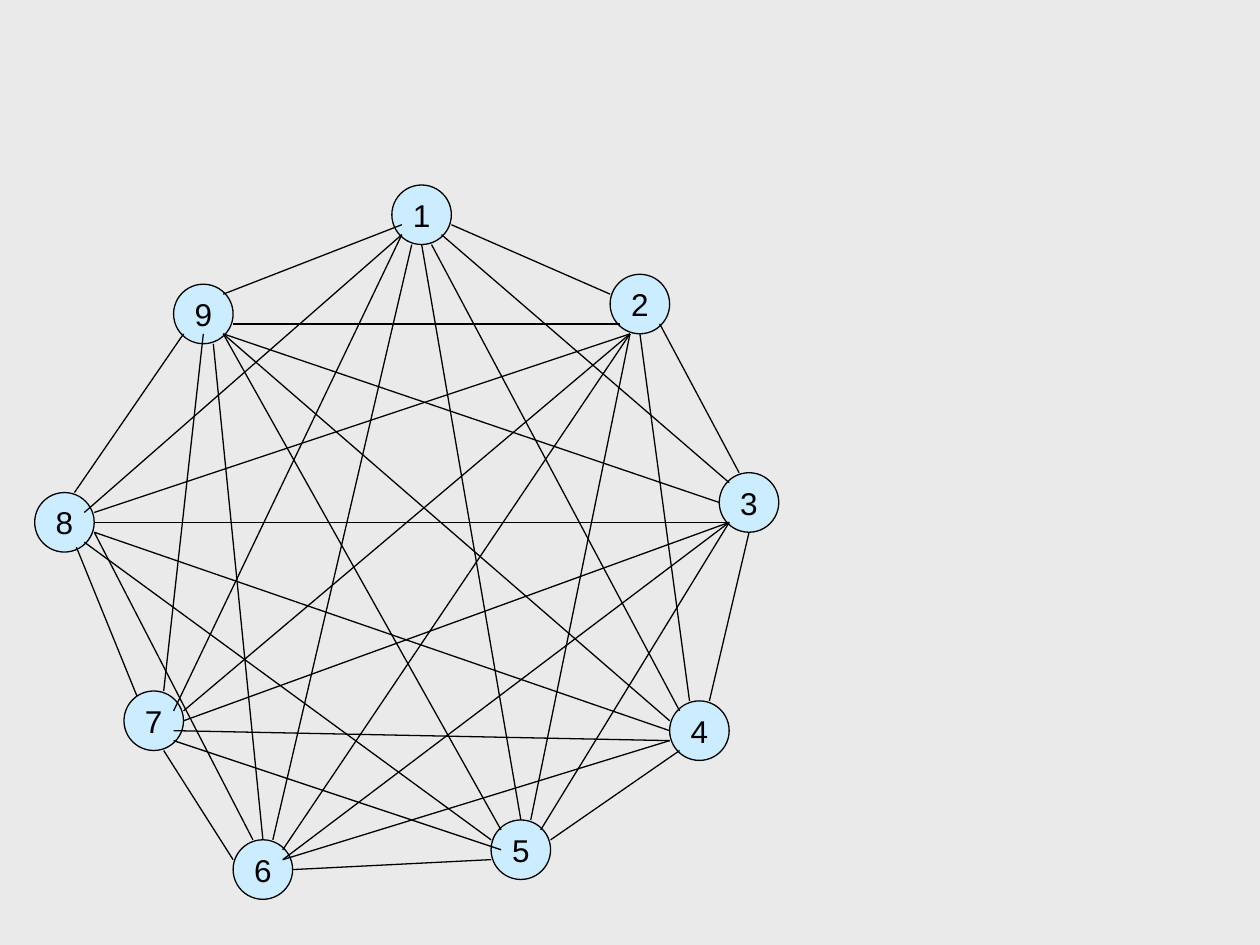
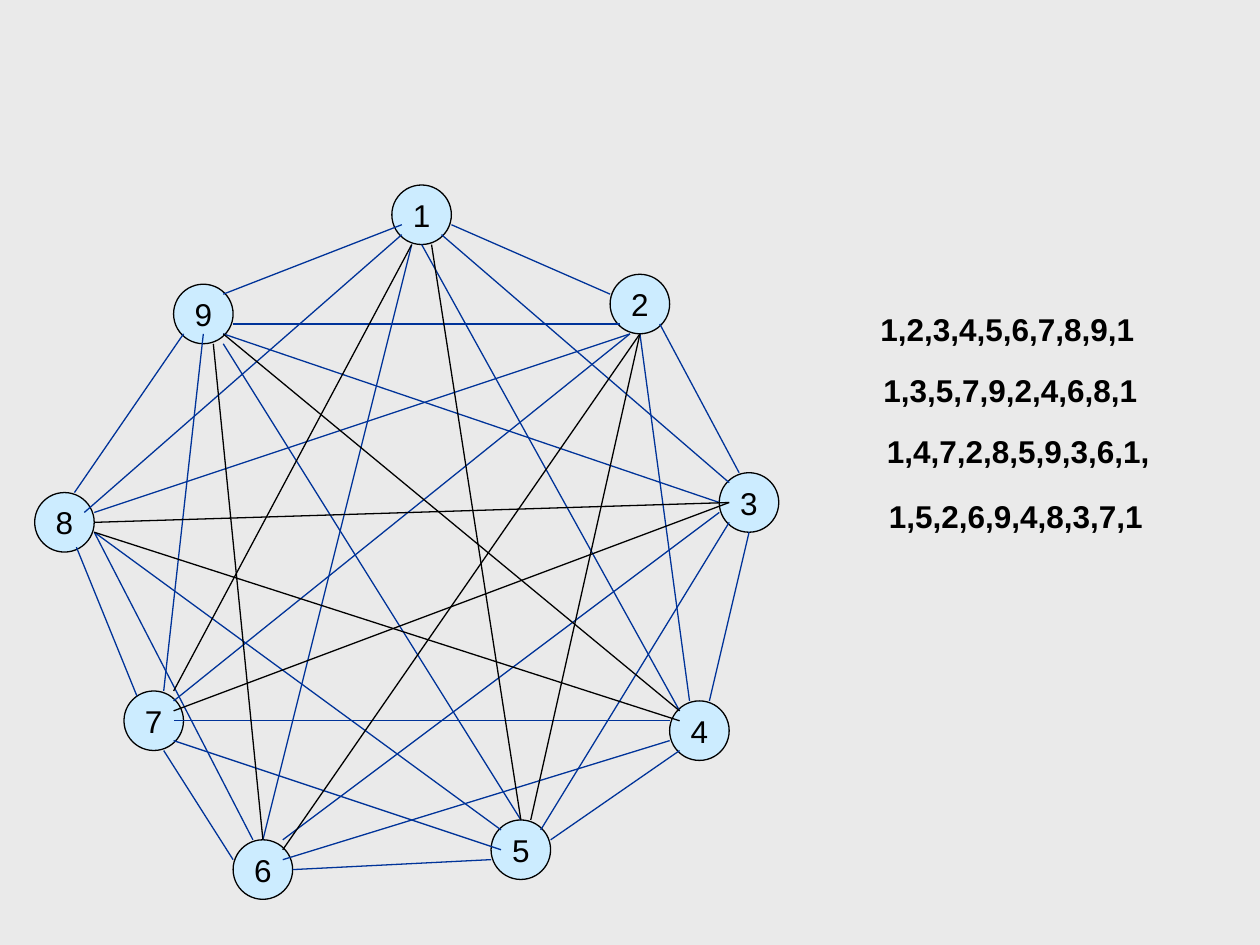
from dataclasses import dataclass
from itertools import pairwise

from lxml.etree import SubElement
from pptx import Presentation
from pptx.dml.color import RGBColor
from pptx.enum.shapes import MSO_CONNECTOR, MSO_SHAPE
from pptx.enum.text import MSO_ANCHOR, MSO_AUTO_SIZE, PP_ALIGN
from pptx.oxml.ns import qn
from pptx.util import Cm, Pt

NODE_CENTRES = {
    1: (8.5, 4.33), 9: (4.1, 6.33), 8: (1.3, 10.53),
    7: (3.1, 14.53), 6: (5.3, 17.53), 5: (10.5, 17.13),
    4: (14.1, 14.73), 3: (15.1, 10.13), 2: (12.9, 6.13),
}

EDGE_ENDS = {
    (1, 2): ((3, 1), (-3, -1)),
    (2, 3): ((2, 2), (-1, -3)),
    (3, 4): ((0, 3), (1, -3)),
    (4, 5): ((-2, 2), (3, -1)),
    (5, 6): ((-3, 1), (3, 0)),
    (6, 7): ((-3, -1), (1, 3)),
    (7, 8): ((-1.7, -2.5), (1.2, 2.5)),
    (8, 9): ((1, -3), (-2, 2)),
    (1, 9): ((-2, 1), (2, -2)),
    (1, 3): ((2, 2), (-2, -2)),
    (1, 4): ((1, 3), (-2, -2)),
    (1, 5): ((0, 3), (0, -3)),
    (1, 6): ((-1, 3), (1, -3)),
    (1, 7): ((-2, 2), (2, -1)),
    (1, 8): ((-2, 2), (2, -1)),
    (2, 9): ((-2, 2), (3, 1)),
    (7, 9): ((1, -3), (0, 2)),
    (3, 9): ((-3, 0), (2, 2)),
    (6, 9): ((0, -3), (1, 3)),
    (5, 9): ((-2, -2), (2, 2)),
    (4, 9): ((-3, -1), (2, 2)),
    (2, 8): ((-1, 3), (3, -1)),
    (2, 7): ((-1, 3), (3, -1)),
    (2, 6): ((-1, 3), (2, -2)),
    (2, 5): ((-1, 3), (1, -3)),
    (2, 4): ((0, 3), (-1, -3)),
    (3, 8): ((-2, 2), (3, 0)),
    (3, 7): ((-2, 2), (3, 0)),
    (3, 6): ((-2, 2), (2, -1)),
    (3, 5): ((-2, 2), (2, -2)),
    (4, 8): ((-3, 0), (3, 1)),
    (4, 7): ((-3, 1), (2, 1)),
    (4, 6): ((-3, 1), (2, -1)),
    (5, 8): ((-3, -1), (2, 2)),
    (6, 8): ((-1, -3), (3, 1)),
    (5, 7): ((-2, 0), (2, 2)),
}

TOUR_EDGE_ENDS = EDGE_ENDS | {
    (1, 4): ((0, 3), (-2, -2)),
    (4, 7): ((-3, -1), (2, 0)),
    (2, 7): ((-1, 3), (2, -2)),
    (5, 8): ((-2, -2), (3, 1)),
    (5, 9): ((0, -3), (2, 3)),
    (3, 6): ((-3, 1), (2, -3)),
    (1, 6): ((-1, 3), (0, -3)),
    (1, 7): ((-1, 3), (2, -3)),
    (3, 7): ((-2, 0), (2, -1)),
    (3, 8): ((-2, 0), (3, 0)),
    (4, 8): ((-2, -1), (3, 1)),
    (4, 9): ((-2, -2), (2, 2)),
    (2, 6): ((0, 3), (2, -2)),
    (2, 5): ((0, 3), (1, -3)),
    (1, 5): ((1, 3), (0, -3)),
}


@dataclass(frozen=True)
class Theme:
    background: RGBColor = RGBColor(0xEA, 0xEA, 0xEA)
    node: RGBColor = RGBColor(0xCC, 0xEC, 0xFF)
    ink: RGBColor = RGBColor(0, 0, 0)
    tour: RGBColor = RGBColor(0, 0x33, 0x99)
    font: str = "Arial"
    text_size: Pt = Pt(18)
    line_width: Pt = Pt(0.75)


THEME = Theme()

TOURS = [
    ("1,2,3,4,5,6,7,8,9,1", 17.5, 6.12, 5.7, THEME.tour),
    ("1,3,5,7,9,2,4,6,8,1", 17.56, 7.35, 5.7, THEME.tour),
    ("1,4,7,2,8,5,9,3,6,1,", 17.63, 8.58, 5.9, THEME.tour),
    ("1,5,2,6,9,4,8,3,7,1", 17.67, 9.89, 5.7, THEME.ink),
]

NODE_SIZE = 1.2
GRID_STEP = 0.2
TOUR_HEIGHT = 1.02


def write(text_frame, text, bold=False):
    text_frame.word_wrap = False
    paragraph = text_frame.paragraphs[0]
    paragraph.text = text
    paragraph.font.name = THEME.font
    paragraph.font.size = THEME.text_size
    paragraph.font.bold = bold
    paragraph.font.color.rgb = THEME.ink
    return paragraph


def add_node(slide, number, centre):
    left, top = (Cm(value - NODE_SIZE / 2) for value in centre)
    shape = slide.shapes.add_shape(
        MSO_SHAPE.OVAL, left, top, Cm(NODE_SIZE), Cm(NODE_SIZE))
    shape.shadow.inherit = False
    shape.fill.solid()
    shape.fill.fore_color.rgb = THEME.node
    shape.line.color.rgb = THEME.ink
    shape.line.width = THEME.line_width
    shape.text_frame.vertical_anchor = MSO_ANCHOR.MIDDLE
    write(shape.text_frame, str(number)).alignment = PP_ALIGN.CENTER


def add_edge(slide, edge, ends, color):
    points = [Cm(centre + GRID_STEP * offset)
              for number, end in zip(edge, ends)
              for centre, offset in zip(NODE_CENTRES[number], end)]
    connector = slide.shapes.add_connector(MSO_CONNECTOR.STRAIGHT, *points)
    connector.line.color.rgb = color
    connector.line.width = THEME.line_width
    SubElement(connector._element.spPr, qn("a:effectLst"))


def add_tour(slide, text, left, top, width, color):
    box = slide.shapes.add_textbox(
        Cm(left), Cm(top), Cm(width), Cm(TOUR_HEIGHT))
    box.text_frame.auto_size = MSO_AUTO_SIZE.SHAPE_TO_FIT_TEXT
    write(box.text_frame, text, bold=True)
    stops = [int(number) for number in text.strip(",").split(",")]
    for step in pairwise(stops):
        edge = tuple(sorted(step))
        add_edge(slide, edge, TOUR_EDGE_ENDS[edge], color)


def add_graph_slide(presentation):
    slide = presentation.slides.add_slide(presentation.slide_layouts[6])
    slide.background.fill.solid()
    slide.background.fill.fore_color.rgb = THEME.background
    for number, centre in NODE_CENTRES.items():
        add_node(slide, number, centre)
    return slide


def main():
    presentation = Presentation()
    presentation.slide_width = Cm(25.4)
    presentation.slide_height = Cm(19.05)

    complete_graph = add_graph_slide(presentation)
    for edge, ends in EDGE_ENDS.items():
        add_edge(complete_graph, edge, ends, THEME.ink)

    tour_graph = add_graph_slide(presentation)
    for tour in TOURS:
        add_tour(tour_graph, *tour)

    presentation.save("out.pptx")


if __name__ == "__main__":
    main()
